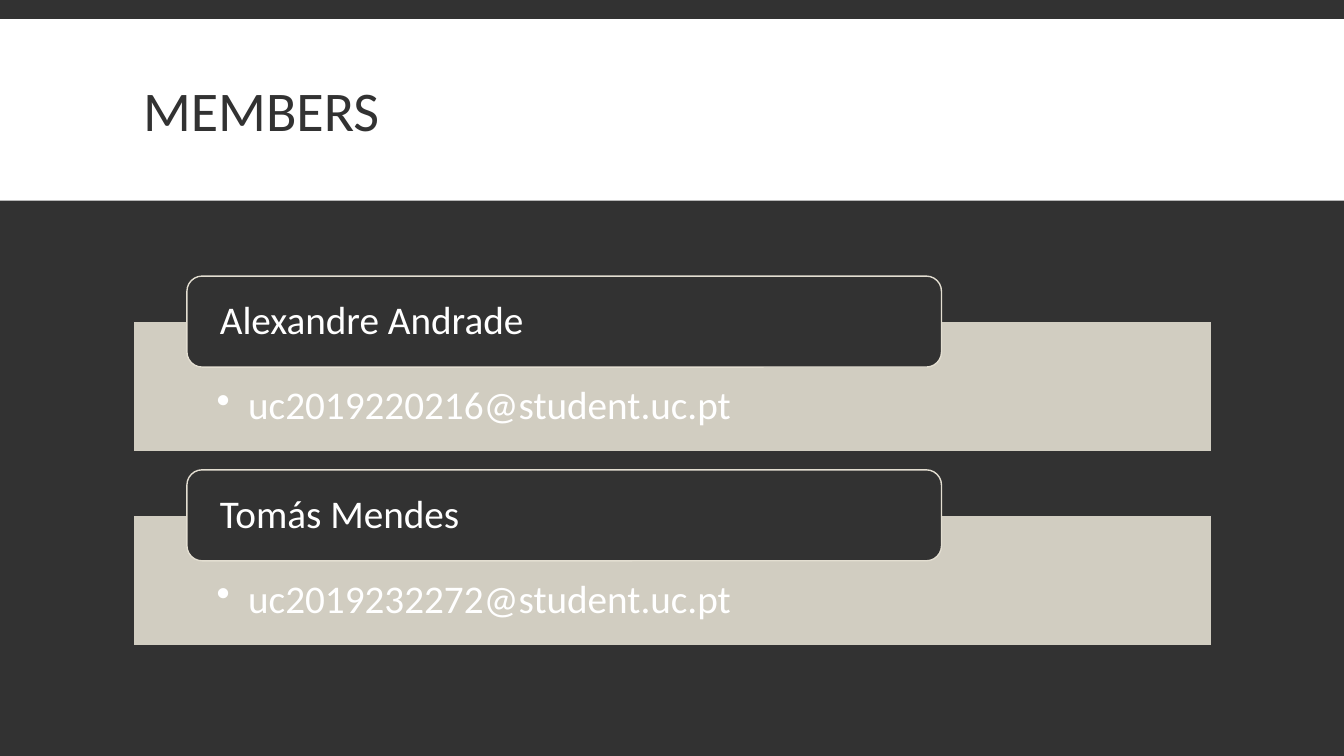
from dataclasses import dataclass

from lxml import etree
from pptx import Presentation
from pptx import util as u
from pptx.dml.color import RGBColor
from pptx.enum import shapes, text
from pptx.oxml import ns


@dataclass(frozen=True)
class Theme:
    dark: str = "323232"
    light: str = "FFFFFF"
    sand: str = "E3DED1"
    font: str = "Calibri"
    title_size: float = 40
    body_size: float = 28


THEME = Theme()
MEMBERS = [
    ("Alexandre Andrade", "uc2019220216@student.uc.pt"),
    ("Tomás Mendes", "uc2019232272@student.uc.pt"),
]

# Layout in points
SLIDE_WIDTH, SLIDE_HEIGHT = 960, 540
LEFT, WIDTH = 95, 770.4
FIRST_TOP, MEMBER_STEP = 197.2, 138.4
TAB_INDENT, TAB_WIDTH, TAB_HEIGHT = 38.5, 539, 65
PANEL_DROP, PANEL_HEIGHT = 32.5, 93.3


def set_values(target, values):
    for name, value in values.items():
        setattr(target, name, value)


def add_box(page, kind, bounds, fill, line=None):
    box = page.shapes.add_shape(kind, *(u.Pt(value) for value in bounds))
    box.shadow.inherit = False
    box.fill.solid()
    box.fill.fore_color.rgb = RGBColor.from_string(fill)
    if line:
        box.line.color.rgb = RGBColor.from_string(line)
        box.line.width = u.Pt(1)
    else:
        box.line.fill.background()
    return box


def write_text(box, words, size, color, frame_format, para_format):
    frame = box.text_frame
    set_values(frame, {"word_wrap": True, "auto_size": text.MSO_AUTO_SIZE.NONE,
                       **frame_format})
    para = frame.paragraphs[0]
    set_values(para, {"alignment": text.PP_ALIGN.LEFT, **para_format})
    span = para.add_run()
    span.text = words
    set_values(span.font, {"name": THEME.font, "size": u.Pt(size)})
    span.font.color.rgb = RGBColor.from_string(color)
    return para


def set_opacity(box, percent):
    color = box.fill._xPr.find(ns.qn("a:solidFill"))[0]
    etree.SubElement(color, ns.qn("a:alpha"), val=str(percent * 1000))


def add_bullet(para, indent):
    properties = para._p.get_or_add_pPr()
    properties.set("marL", str(u.Pt(indent)))
    properties.set("indent", str(-u.Pt(indent)))
    etree.SubElement(properties, ns.qn("a:buChar"), char="•")


def add_title(page, words):
    title = page.shapes.title
    set_values(title, {"left": u.Pt(LEFT), "top": u.Pt(22.3),
                       "width": u.Pt(WIDTH), "height": u.Pt(118.8)})
    write_text(title, words, THEME.title_size, THEME.dark,
               {"vertical_anchor": text.MSO_ANCHOR.MIDDLE},
               {"line_spacing": 0.85})
    # White band behind the title
    band = add_box(page, shapes.MSO_SHAPE.RECTANGLE,
                   (0, 13.7, SLIDE_WIDTH, 129.6), THEME.light)
    title.element.addprevious(band.element)


def add_member(page, top, name, address):
    # Panel with the e-mail address
    panel = add_box(page, shapes.MSO_SHAPE.RECTANGLE,
                    (LEFT, top + PANEL_DROP, WIDTH, PANEL_HEIGHT),
                    THEME.sand, THEME.dark)
    set_opacity(panel, 90)
    para = write_text(panel, address, THEME.body_size, THEME.light,
                      {"vertical_anchor": text.MSO_ANCHOR.TOP,
                       "margin_left": u.Pt(59.8), "margin_right": u.Pt(59.8),
                       "margin_top": u.Pt(46), "margin_bottom": u.Pt(15.8)},
                      {"level": 1, "line_spacing": 0.9,
                       "space_after": u.Pt(4.2)})
    add_bullet(para, 22.5)

    # Rounded tab with the name
    tab = add_box(page, shapes.MSO_SHAPE.ROUNDED_RECTANGLE,
                  (LEFT + TAB_INDENT, top, TAB_WIDTH, TAB_HEIGHT),
                  THEME.dark, THEME.sand)
    write_text(tab, name, THEME.body_size, THEME.light,
               {"vertical_anchor": text.MSO_ANCHOR.MIDDLE,
                "margin_left": u.Pt(20.4), "margin_right": u.Pt(20.4),
                "margin_top": 0, "margin_bottom": 0},
               {"line_spacing": 0.9, "space_after": u.Pt(9.8)})


def main():
    deck = Presentation()
    set_values(deck, {"slide_width": u.Pt(SLIDE_WIDTH),
                      "slide_height": u.Pt(SLIDE_HEIGHT)})
    page = deck.slides.add_slide(deck.slide_layouts.get_by_name("Title Only"))
    page.background.fill.solid()
    page.background.fill.fore_color.rgb = RGBColor.from_string(THEME.dark)

    add_title(page, "MEMBERS")
    for index, (name, address) in enumerate(MEMBERS):
        add_member(page, FIRST_TOP + index * MEMBER_STEP, name, address)
    deck.save("out.pptx")


if __name__ == "__main__":
    main()
